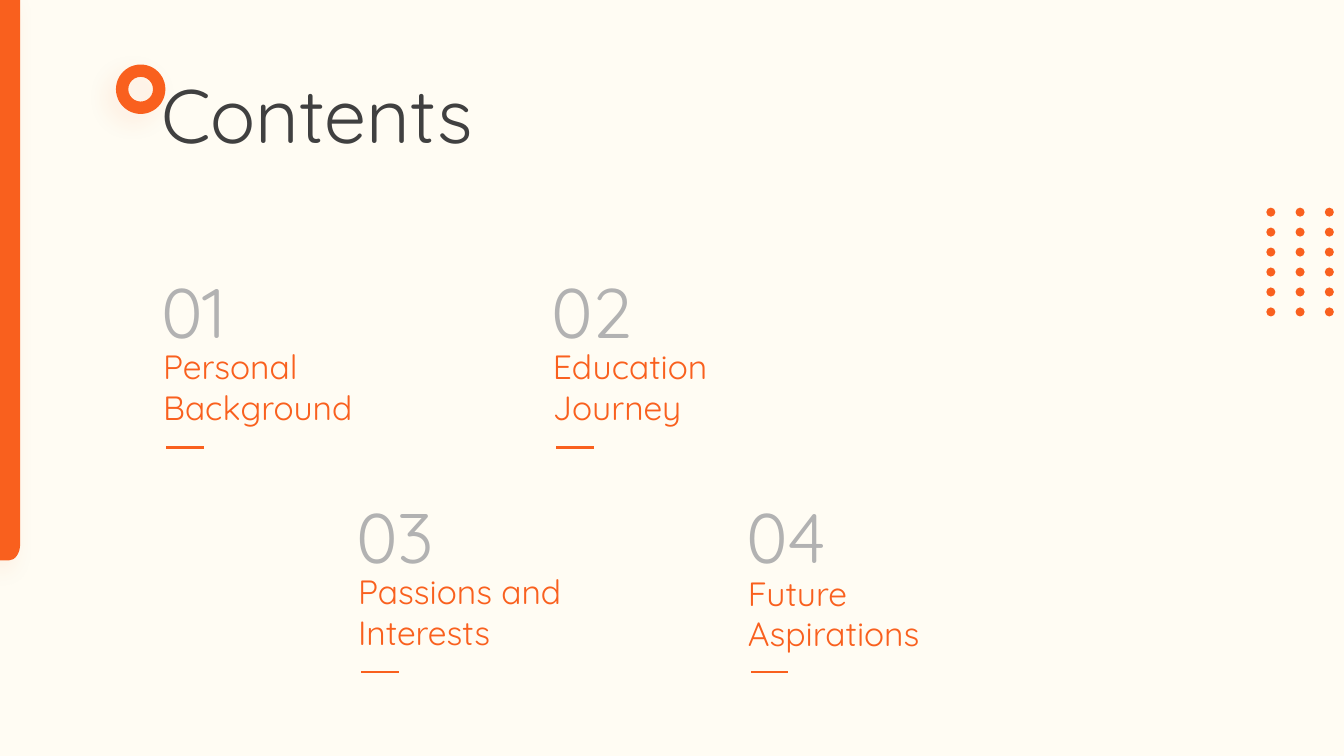
"""Build a contents slide with four numbered topics."""
from lxml.etree import SubElement
from pptx import Presentation
from pptx.dml.color import RGBColor
from pptx.enum.shapes import MSO_CONNECTOR, MSO_SHAPE
from pptx.enum.text import MSO_ANCHOR, PP_ALIGN
from pptx.oxml.ns import qn
from pptx.util import Inches, Pt

COLORS = {"paper": "FFFCF3", "orange": "F9601E", "dark": "404040", "gray": "B2B2B2"}
FONT = "Quicksand"
BEND = 0.55
TOPICS = [
    ("01", "Personal Background", 0, 0, 0.59),
    ("02", "Education Journey", 2, 0, 0.59),
    ("03", "Passions and Interests", 1, 1, 0.59),
    ("04", "Future Aspirations", 3, 1, 0.61),
]


def color(name):
    return RGBColor.from_string(COLORS[name])


def paint(shape):
    shape.shadow.inherit = False
    shape.fill.solid()
    shape.fill.fore_color.rgb = color("orange")
    shape.line.fill.background()
    return shape


def add_glow(shape):
    effects = shape.element.spPr.find(qn("a:effectLst"))
    glow = SubElement(effects, qn("a:outerShdw"), blurRad=str(Pt(16)),
                      dist=str(Pt(8)), dir=str(135 * 60000), algn="tr", rotWithShape="0")
    tint = SubElement(glow, qn("a:srgbClr"), val=COLORS["orange"])
    SubElement(tint, qn("a:alpha"), val="10000")


def add_curves(shapes, x, y, wide, high, moves):
    pen = shapes.build_freeform(Inches(x), Inches(y))
    ends = [(x + wide, y), (x + wide, y + high), (x, y + high)]
    pen.add_line_segments([(Inches(a), Inches(b)) for a, b in ends])
    shape = paint(pen.convert_to_shape())
    trace = next(shape.element.iter(qn("a:path")))
    for step in list(trace):
        trace.remove(step)
    for kind, *points in moves:
        step = SubElement(trace, qn("a:" + kind))
        for a, b in points:
            SubElement(step, qn("a:pt"), x=str(Inches(a)), y=str(Inches(b)))
    return shape


def add_bar(shapes, wide, high, rx, ry):
    left, top = wide - rx, high - ry
    moves = [
        ("moveTo", (0, 0)),
        ("lnTo", (wide, 0)),
        ("lnTo", (wide, top)),
        ("cubicBezTo", (wide, top + BEND * ry), (left + BEND * rx, high), (left, high)),
        ("lnTo", (0, high)),
        ("close",),
    ]
    add_glow(add_curves(shapes, 0, 0, wide, high, moves))


def dot(x, y, r):
    moves = [("moveTo", (x, y - r))]
    for a, b in [(0, -1), (1, 0), (0, 1), (-1, 0)]:
        c, d = -b, a
        spots = [(a + BEND * c, b + BEND * d), (c + BEND * a, d + BEND * b), (c, d)]
        moves.append(("cubicBezTo", *[(x + r * u, y + r * v) for u, v in spots]))
    return moves + [("close",)]


def add_dots(shapes, x, y, wide, high, size):
    r, rows, cols = size / 2, 6, 3
    moves = []
    for row in range(rows):
        for col in range(cols):
            moves += dot(r + (wide - size) * col / (cols - 1),
                         r + (high - size) * row / (rows - 1), r)
    add_curves(shapes, x, y, wide, high, moves)


def add_ring(shapes, x, y, size):
    box = map(Inches, (x, y, size, size))
    add_glow(paint(shapes.add_shape(MSO_SHAPE.DONUT, *box)))


def add_text(shapes, text, box, size, tone, left=0, right=0):
    frame = shapes.add_textbox(*map(Inches, box)).text_frame
    frame.word_wrap = True
    frame.vertical_anchor = MSO_ANCHOR.MIDDLE
    frame.margin_left, frame.margin_right = Inches(left), Inches(right)
    frame.margin_top = frame.margin_bottom = 0
    line = frame.paragraphs[0]
    line.text = text
    line.alignment = PP_ALIGN.LEFT
    line.font.name = FONT
    line.font.size = Pt(size)
    line.font.color.rgb = color(tone)


def add_rule(shapes, x, y, wide):
    rule = shapes.add_connector(MSO_CONNECTOR.STRAIGHT, Inches(x), Inches(y),
                                Inches(x + wide), Inches(y))
    rule.line.color.rgb = color("orange")
    rule.line.width = Pt(1.5)
    SubElement(rule.element.spPr, qn("a:effectLst"))


def add_topic(shapes, number, name, col, row, drop):
    x, y = 1.52 + 5.8 * col / 3, 2.72 + 2.23 * row
    add_rule(shapes, x + 0.13, y + 1.72, 0.37)
    add_text(shapes, number, (x, y, 2.22, 0.72), 50, "gray", 0.08)
    add_text(shapes, name, (x, y + drop, 2.7, 1.05), 24, "orange", 0.1, 0.1)


def main():
    deck = Presentation()
    deck.slide_width, deck.slide_height = Inches(13.33), Inches(7.5)
    slide = deck.slides.add_slide(deck.slide_layouts[6])
    slide.background.fill.solid()
    slide.background.fill.fore_color.rgb = color("paper")
    shapes = slide.shapes
    add_bar(shapes, 0.2, 5.56, 0.11, 0.16)
    add_dots(shapes, 12.56, 2.06, 0.67, 1.08, 0.09)
    add_ring(shapes, 1.15, 0.64, 0.49)
    add_text(shapes, "Contents", (1.6, 0.64, 5.45, 0.97), 54, "dark")
    for topic in TOPICS:
        add_topic(shapes, *topic)
    deck.save("out.pptx")


if __name__ == "__main__":
    main()
